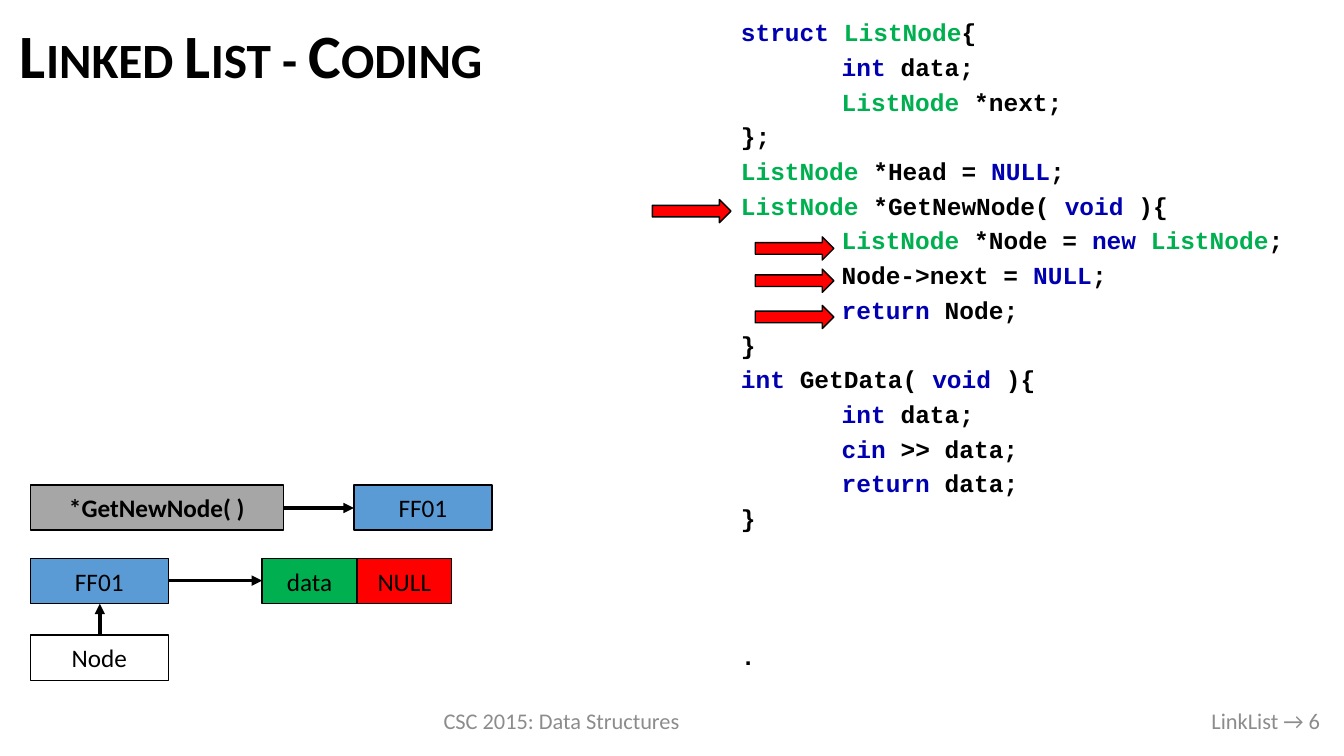
from lxml import etree
from pptx import Presentation
from pptx.dml.color import RGBColor
from pptx.enum.shapes import MSO_CONNECTOR, MSO_SHAPE
from pptx.enum.text import MSO_ANCHOR, PP_ALIGN
from pptx.oxml.ns import qn
from pptx.util import Pt

PX = 9144  # 100 px to the inch
RECT, ARROW = MSO_SHAPE.RECTANGLE, MSO_SHAPE.RIGHT_ARROW
LINE = MSO_CONNECTOR.STRAIGHT
TOP, MIDDLE = MSO_ANCHOR.TOP, MSO_ANCHOR.MIDDLE
LEFT, CENTER = PP_ALIGN.LEFT, PP_ALIGN.CENTER
RIGHT, JUSTIFY = PP_ALIGN.RIGHT, PP_ALIGN.JUSTIFY

BLACK, WHITE, GREY, SILVER = "000000", "FFFFFF", "8C8C8C", "A6A6A6"
BLUE, GREEN, RED, NAVY = "5B9BD5", "00B050", "FF0000", "0000B0"

WORDS = dict.fromkeys(
    ["struct", "int", "NULL", "void", "new", "return", "cin"], NAVY)
WORDS["ListNode"] = GREEN

# Bars part the coloured words from the rest.
CODE = """struct |ListNode|{
\t|int| data;
\t|ListNode| *next;
};
ListNode| *Head = |NULL|;
ListNode| *GetNewNode( |void| ){
\t|ListNode| *Node = |new |ListNode|;
\tNode->next = |NULL|;
\t|return| Node;
}
int |GetData( |void| ){
\t|int| data;
\t|cin| >> data;
\t|return| data;
}
."""


def rgb(code):
    return RGBColor.from_string(code)


def write(frame, text, size=18, font="Calibri", color=BLACK, bold=False,
          align=CENTER, anchor=MIDDLE, gap=0, lead=1.0, tab=0, small=False,
          words=None):
    """Fill a frame, one paragraph a line; words maps a part to its colour."""
    frame.word_wrap = True
    frame.vertical_anchor = anchor
    for i, line in enumerate(text.split("\n")):
        para = frame.add_paragraph() if i else frame.paragraphs[0]
        para.alignment = align
        para.line_spacing = lead
        para.space_before = Pt(gap if i else 0)
        para.space_after = Pt(gap)
        if tab:
            tabs = etree.SubElement(para._p.get_or_add_pPr(), qn("a:tabLst"))
            etree.SubElement(tabs, qn("a:tab"), pos=str(tab * PX), algn="l")
        for part in line.split("|"):
            run = para.add_run()
            run.text = part
            run.font.size = Pt(size)
            run.font.name = font
            run.font.bold = bold
            run.font.color.rgb = rgb((words or {}).get(part.strip(), color))
            if small:
                run.font._element.set("cap", "small")


def label(slide, x, y, w, h, text, **style):
    box = slide.shapes.add_textbox(x * PX, y * PX, w * PX, h * PX)
    write(box.text_frame, text, **style)
    return box


def block(slide, kind, x, y, w, h, fill):
    shape = slide.shapes.add_shape(kind, x * PX, y * PX, w * PX, h * PX)
    shape.shadow.inherit = False
    shape.fill.solid()
    shape.fill.fore_color.rgb = rgb(fill)
    shape.line.color.rgb = rgb(BLACK)
    shape.line.width = Pt(1)
    return shape


def cell(slide, x, y, w, text, fill, bold=False):
    shape = block(slide, RECT, x, y, w, 45, fill)
    write(shape.text_frame, text, bold=bold)


def link(slide, x1, y1, x2, y2):
    """Draw a line with an arrowhead at its end."""
    line = slide.shapes.add_connector(LINE, x1 * PX, y1 * PX, x2 * PX, y2 * PX)
    line.line.color.rgb = rgb(BLACK)
    line.line.width = Pt(2.5)
    etree.SubElement(line.line._get_or_add_ln(), qn("a:tailEnd"), type="triangle")
    etree.SubElement(line._element.spPr, qn("a:effectLst"))


def main():
    deck = Presentation()
    deck.slide_width, deck.slide_height = 1333 * PX, 750 * PX
    slide = deck.slides.add_slide(deck.slide_layouts[6])

    label(slide, 10, 11, 1310, 95, "Linked List - Coding", size=44, bold=True,
          align=LEFT, lead=0.9, small=True)
    code = label(slide, 725, 18, 588, 677, CODE, size=17.5, font="Courier New",
                 bold=True, align=JUSTIFY, anchor=TOP, gap=4, lead=0.8, tab=100,
                 words=WORDS)
    code.text_frame.paragraphs[-1].space_before = Pt(78)
    label(slide, 389, 695, 336, 40, "CSC 2015: Data Structures", size=16, color=GREY)
    label(slide, 770, 695, 549, 40, "LinkList → 6", size=16, color=GREY, align=RIGHT)

    cell(slide, 30, 481, 251, "*GetNewNode( )", SILVER, bold=True)
    cell(slide, 351, 481, 137, "FF01", BLUE)
    cell(slide, 30, 554, 137, "FF01", BLUE)
    cell(slide, 260, 554, 94, "data", GREEN)
    cell(slide, 354, 554, 94, "NULL", RED)
    cell(slide, 30, 630, 137, "Node", WHITE)

    link(slide, 281, 504, 351, 504)
    link(slide, 167, 576, 260, 576)
    link(slide, 99, 630, 99, 599)

    for x, y in [(647, 198), (749, 235), (749, 267), (749, 303)]:
        block(slide, ARROW, x, y, 78, 23, RED)

    deck.save("out.pptx")


if __name__ == "__main__":
    main()
